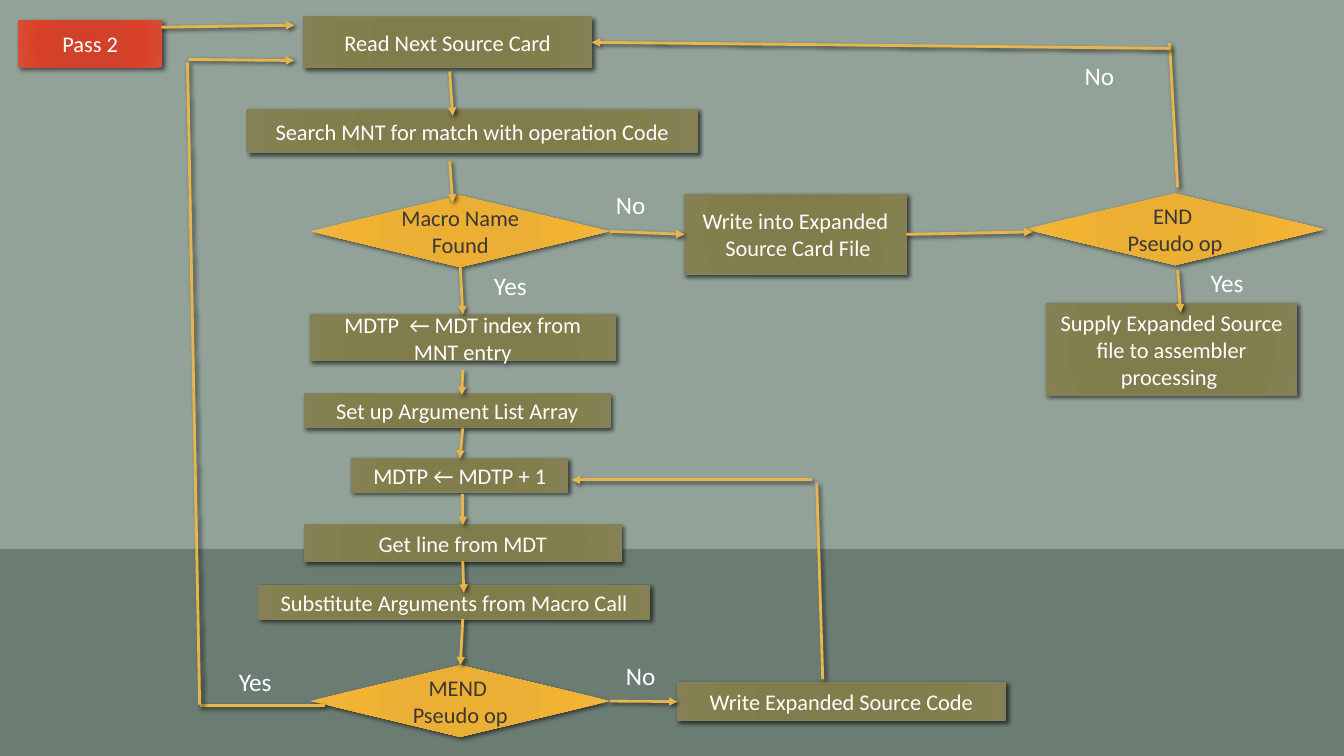
from lxml import etree
from pptx import Presentation
from pptx import util as u
from pptx.dml.color import RGBColor
from pptx.enum import shapes, text
from pptx.oxml import ns

COLORS = {"sage": "93A299", "moss": "6B7C72", "white": "FFFFFF", "ink": "3B3638",
          "edge": "848058", "arrow": "E8B54D", "shadow": "000000"}
GRADIENTS = {"step": ("807A4A", "807C4C", "837F4C", "868155"),
             "decision": ("ECAF31", "EBAF35", "F3B332", "EFB745"),
             "start": ("D43F25", "D2412A", "D94127", "D64E37")}
STOPS = (0, 34, 70, 100)
TOP, LEFT, BOTTOM, RIGHT = range(4)
A = ns.nsdecls("a") if hasattr(ns, "nsdecls") else ""


def rgb(name):
    """Return the named colour."""
    return RGBColor.from_string(COLORS[name])


def place(origin, *point):
    """Turn a point relative to an origin into slide lengths."""
    return [u.Inches(o + v) for o, v in zip(origin, point)]


def add_shadow(sp, blur=3):
    """Give a shape or connector a soft shadow to the lower right."""
    sp.element.spPr.append(etree.fromstring(
        f'<a:effectLst {A}><a:outerShdw blurRad="{u.Pt(blur)}" dist="{u.Pt(2)}" '
        f'dir="2700000" algn="tl" rotWithShape="0"><a:srgbClr val="{COLORS["shadow"]}">'
        '<a:alpha val="60000"/></a:srgbClr></a:outerShdw></a:effectLst>'))


def add_gradient(sp, kind):
    """Fill a shape with the radial gradient of its kind."""
    stops = "".join(f'<a:gs pos="{pos * 1000}"><a:srgbClr val="{color}"/></a:gs>'
                    for pos, color in zip(STOPS, GRADIENTS[kind]))
    sp.element.spPr.insert(2, etree.fromstring(
        f'<a:gradFill {A} rotWithShape="1"><a:gsLst>{stops}</a:gsLst><a:path path="circle">'
        '<a:fillToRect l="50000" t="50000" r="50000" b="50000"/></a:path></a:gradFill>'))


def write(tf, words, size, color, align):
    """Write each line of words as a paragraph."""
    tf.word_wrap = True
    tf.text = words
    for p in tf.paragraphs:
        p.alignment = align
        p.font.size = u.Pt(size)
        p.font.name = "Calibri"
        p.font.color.rgb = rgb(color)


def add_node(s, origin, box, words, kind="step"):
    """Add one flowchart box and return it."""
    x, y, w, h = box
    shape = shapes.MSO_SHAPE.RECTANGLE
    if kind == "decision":
        shape = shapes.MSO_SHAPE.FLOWCHART_DECISION
    sp = s.shapes.add_shape(shape, *place(origin, x, y), u.Inches(w), u.Inches(h))
    if kind == "step":
        sp.line.color.rgb = rgb("edge")
        sp.line.width = u.Pt(1)
    else:
        sp.line.fill.background()
    add_gradient(sp, kind)
    add_shadow(sp, 3 if kind == "step" else 3.5)
    tf = sp.text_frame
    tf.vertical_anchor = text.MSO_ANCHOR.MIDDLE
    write(tf, words, 16, "ink" if kind == "decision" else "white", text.PP_ALIGN.CENTER)
    return sp


def add_label(s, origin, x, y, words):
    """Add the answer beside a branch."""
    sp = s.shapes.add_textbox(*place(origin, x, y), u.Inches(0.66), u.Inches(0.4))
    write(sp.text_frame, words, 18, "white", text.PP_ALIGN.LEFT)


def add_link(s, origin, start, end, arrow=True):
    """Draw a line between points or (shape, side) pairs."""
    points = [(0, 0) if hasattr(e[0], "shape_id") else place(origin, *e) for e in (start, end)]
    cx = s.shapes.add_connector(shapes.MSO_CONNECTOR.STRAIGHT, *points[0], *points[1])
    if hasattr(start[0], "shape_id"):
        cx.begin_connect(*start)
    if hasattr(end[0], "shape_id"):
        cx.end_connect(*end)
    cx.line.color.rgb = rgb("arrow")
    cx.line.width = u.Pt(2)
    if arrow:
        ln = cx.element.spPr.find(ns.qn("a:ln"))
        etree.SubElement(ln, ns.qn("a:tailEnd"), type="triangle")
    add_shadow(cx)


def add_backdrop(s, width, height):
    """Paint the light upper field and the dark lower band."""
    split = 5.44
    for top, h, color in ((0, split, "sage"), (split, height - split, "moss")):
        sp = s.shapes.add_shape(shapes.MSO_SHAPE.RECTANGLE, 0, u.Inches(top),
                                u.Inches(width), u.Inches(h))
        sp.shadow.inherit = False
        sp.fill.solid()
        sp.fill.fore_color.rgb = rgb(color)
        sp.line.fill.background()


def add_lookup(s, origin):
    """Add the name lookup and return its first step and its decision."""
    add_node(s, origin, (0, 0.03, 1.43, 0.47), "Pass 2", "start")
    read = add_node(s, origin, (2.83, 0, 2.86, 0.5), "Read Next Source Card")
    add_node(s, origin, (2.27, 0.92, 4.47, 0.42), "Search MNT for match with operation Code")
    found = add_node(s, origin, (2.9, 1.77, 2.97, 0.71), "Macro Name Found", "decision")
    add_link(s, origin, (1.42, 0.1), (2.74, 0.08))
    add_link(s, origin, (4.28, 0.54), (4.31, 0.98))
    add_link(s, origin, (4.28, 1.43), (4.31, 1.84))
    add_label(s, origin, 4.62, 2.46, "Yes")
    add_label(s, origin, 5.83, 1.66, "No")
    return read, found


def add_expansion(s, origin):
    """Add the macro expansion loop and return its first step."""
    index = add_node(s, origin, (1.22, 0, 3.02, 0.46), "MDTP  ← MDT index from MNT entry")
    add_node(s, origin, (1.16, 0.79, 3.03, 0.33), "Set up Argument List Array")
    step = add_node(s, origin, (1.63, 1.43, 2.14, 0.33), "MDTP ← MDTP + 1")
    get = add_node(s, origin, (1.16, 2.09, 3.14, 0.36), "Get line from MDT")
    add_node(s, origin, (0.71, 2.69, 3.87, 0.33), "Substitute Arguments from Macro Call")
    mend = add_node(s, origin, (1.22, 3.48, 2.97, 0.71), "MEND \nPseudo op", "decision")
    code = add_node(s, origin, (4.86, 3.65, 3.25, 0.38), "Write Expanded Source Code")
    add_link(s, origin, (2.73, 0.55), (2.72, 0.8))
    add_link(s, origin, (2.73, 1.13), (step, TOP))
    add_link(s, origin, (2.73, 1.78), (get, TOP))
    add_link(s, origin, (get, BOTTOM), (2.74, 2.76))
    add_link(s, origin, (2.73, 3.02), (mend, TOP))
    add_link(s, origin, (mend, RIGHT), (code, LEFT))
    add_link(s, origin, (6.3, 3.62), (6.24, 1.67), arrow=False)
    add_link(s, origin, (6.19, 1.64), (3.81, 1.64))
    add_label(s, origin, 0.41, 3.44, "Yes")
    add_label(s, origin, 4.25, 3.38, "No")
    return index


def add_return_path(s, origin):
    """Draw the way back from the last decision to the first step."""
    add_link(s, origin, (0.12, 6.41), (1.36, 6.41), arrow=False)
    add_link(s, origin, (0.12, 6.4), (0, 0.03), arrow=False)
    add_link(s, origin, (0.01, 0), (1.06, 0.01))


def add_output(s, origin, read):
    """Add the output branch, lead it back to read and return its first step."""
    card = add_node(s, origin, (0, 1.5, 2.2, 0.79), "Write into Expanded\n Source Card File")
    add_node(s, origin, (3.38, 1.49, 2.97, 0.71), "END \nPseudo op", "decision")
    add_node(s, origin, (3.59, 2.58, 2.48, 0.91),
             "Supply Expanded Source file to assembler processing ")
    add_link(s, origin, (card, RIGHT), (3.45, 1.87))
    add_link(s, origin, (4.89, 2.25), (4.92, 2.67))
    add_link(s, origin, (4.89, 1.43), (4.81, 0), arrow=False)
    add_link(s, origin, (4.81, 0.05), (read, RIGHT))
    add_label(s, origin, 5.12, 2.17, "Yes")
    add_label(s, origin, 3.87, 0.12, "No")
    return card


def main():
    """Build the flowchart slide and save it."""
    prs = Presentation()
    prs.slide_width, prs.slide_height = u.Inches(13.33), u.Inches(7.5)
    s = prs.slides.add_slide(prs.slide_layouts[6])
    add_backdrop(s, 13.33, 7.5)
    read, found = add_lookup(s, (0.18, 0.17))
    index = add_expansion(s, (1.86, 3.12))
    add_return_path(s, (1.86, 0.59))
    card = add_output(s, (6.79, 0.43), read)
    add_link(s, (0, 0), (found, BOTTOM), (index, TOP))
    add_link(s, (0, 0), (found, RIGHT), (card, LEFT))
    prs.save("out.pptx")


if __name__ == "__main__":
    main()
